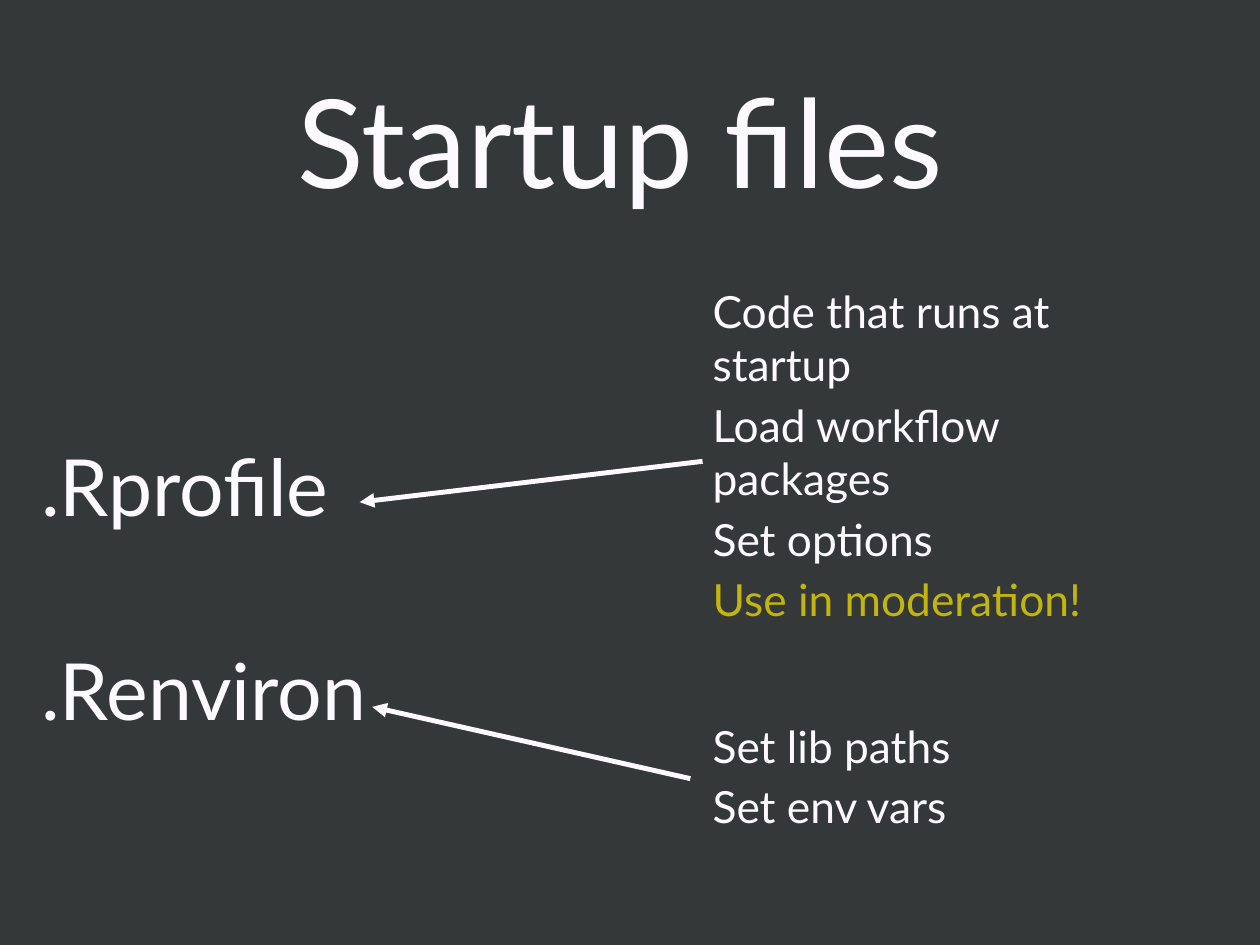
from dataclasses import dataclass

from lxml import etree
from pptx import Presentation
from pptx.dml.color import RGBColor
from pptx.enum.shapes import MSO_CONNECTOR
from pptx.enum.text import MSO_ANCHOR, MSO_AUTO_SIZE, PP_ALIGN
from pptx.oxml.ns import qn
from pptx.util import Cm, Pt

STRAIGHT = MSO_CONNECTOR.STRAIGHT
TOP, MIDDLE, BOTTOM = MSO_ANCHOR.TOP, MSO_ANCHOR.MIDDLE, MSO_ANCHOR.BOTTOM
NO_AUTOFIT = MSO_AUTO_SIZE.NONE
LEFT, CENTER = PP_ALIGN.LEFT, PP_ALIGN.CENTER

SLATE = RGBColor(0x34, 0x38, 0x38)
WHITE = RGBColor(0xFC, 0xFA, 0xFF)
MUSTARD = RGBColor(0xC2, 0xB5, 0x0D)

FONT = "Lato"
INSET = 0.14


@dataclass(frozen=True)
class Area:
    left: float
    top: float
    width: float
    height: float


@dataclass(frozen=True)
class Note:
    area: Area
    lines: tuple[str, ...]
    highlighted: str = ""


@dataclass(frozen=True)
class Arrow:
    start: tuple[float, float]
    end: tuple[float, float]


TITLE_AREA = Area(3.25, 1.73, 29.06, 5.71)
FILES_AREA = Area(1.04, 9.27, 32.69, 12.22)

NOTES = (
    Note(
        Area(20.29, 9.42, 13.74, 7.26),
        (
            "Code that runs at startup",
            "Load workflow packages",
            "Set options",
            "Use in moderation!",
        ),
        highlighted="Use in moderation!",
    ),
    Note(Area(20.29, 20.42, 7.3, 3.66), ("Set lib paths", "Set env vars")),
)

ARROWS = (
    Arrow((19.79, 22.33), (10.67, 20.27)),
    Arrow((20.14, 13.23), (10.31, 14.4)),
)


def place(box, area: Area, anchor: MSO_ANCHOR, bottom_inset: float = INSET) -> None:
    box.left, box.top = Cm(area.left), Cm(area.top)
    box.width, box.height = Cm(area.width), Cm(area.height)
    frame = box.text_frame
    frame.word_wrap = True
    frame.auto_size = NO_AUTOFIT
    frame.vertical_anchor = anchor
    frame.margin_left = frame.margin_right = frame.margin_top = Cm(INSET)
    frame.margin_bottom = Cm(bottom_inset)


def write(
    para,
    text: str,
    *,
    size: float,
    color: RGBColor = WHITE,
    align: PP_ALIGN = LEFT,
    space_before: float = 0,
) -> None:
    para.alignment = align
    para.space_before = Pt(space_before)
    span = para.add_run()
    span.text = text
    span.font.name = FONT
    span.font.size = Pt(size)
    span.font.color.rgb = color


def remove_bullet(para) -> None:
    properties = para._p.get_or_add_pPr()
    properties.set("marL", "0")
    properties.set("indent", "0")
    etree.SubElement(properties, qn("a:buNone"))


def fill_files(box, names: tuple[str, ...]) -> None:
    place(box, FILES_AREA, BOTTOM, bottom_inset=0.38)
    frame = box.text_frame
    for index, name in enumerate(names):
        para = frame.add_paragraph() if index else frame.paragraphs[0]
        write(para, name, size=64, space_before=88.8 if index else 0)
        remove_bullet(para)


def add_note(page, note: Note) -> None:
    box = page.shapes.add_textbox(0, 0, 0, 0)
    place(box, note.area, MIDDLE)
    frame = box.text_frame
    for index, line in enumerate(note.lines):
        para = frame.add_paragraph() if index else frame.paragraphs[0]
        color = MUSTARD if line == note.highlighted else WHITE
        write(para, line, size=36, color=color, space_before=6)


def add_arrow(page, arrow: Arrow) -> None:
    points = [Cm(value) for value in arrow.start + arrow.end]
    connector = page.shapes.add_connector(STRAIGHT, *points)
    connector.line.color.rgb = WHITE
    connector.line.width = Pt(4)
    etree.SubElement(connector.line._get_or_add_ln(), qn("a:tailEnd"), type="triangle")
    etree.SubElement(connector._element.spPr, qn("a:effectLst"))


def main() -> None:
    deck = Presentation()
    deck.slide_width, deck.slide_height = Cm(36.12), Cm(27.1)
    page = deck.slides.add_slide(deck.slide_layouts[1])
    page.background.fill.solid()
    page.background.fill.fore_color.rgb = SLATE

    title, files = page.placeholders
    place(title, TITLE_AREA, TOP)
    write(title.text_frame.paragraphs[0], "Startup files", size=100, align=CENTER)
    fill_files(files, (".Rprofile", ".Renviron"))

    for note in NOTES:
        add_note(page, note)
    for arrow in ARROWS:
        add_arrow(page, arrow)
    deck.save("out.pptx")


if __name__ == "__main__":
    main()
